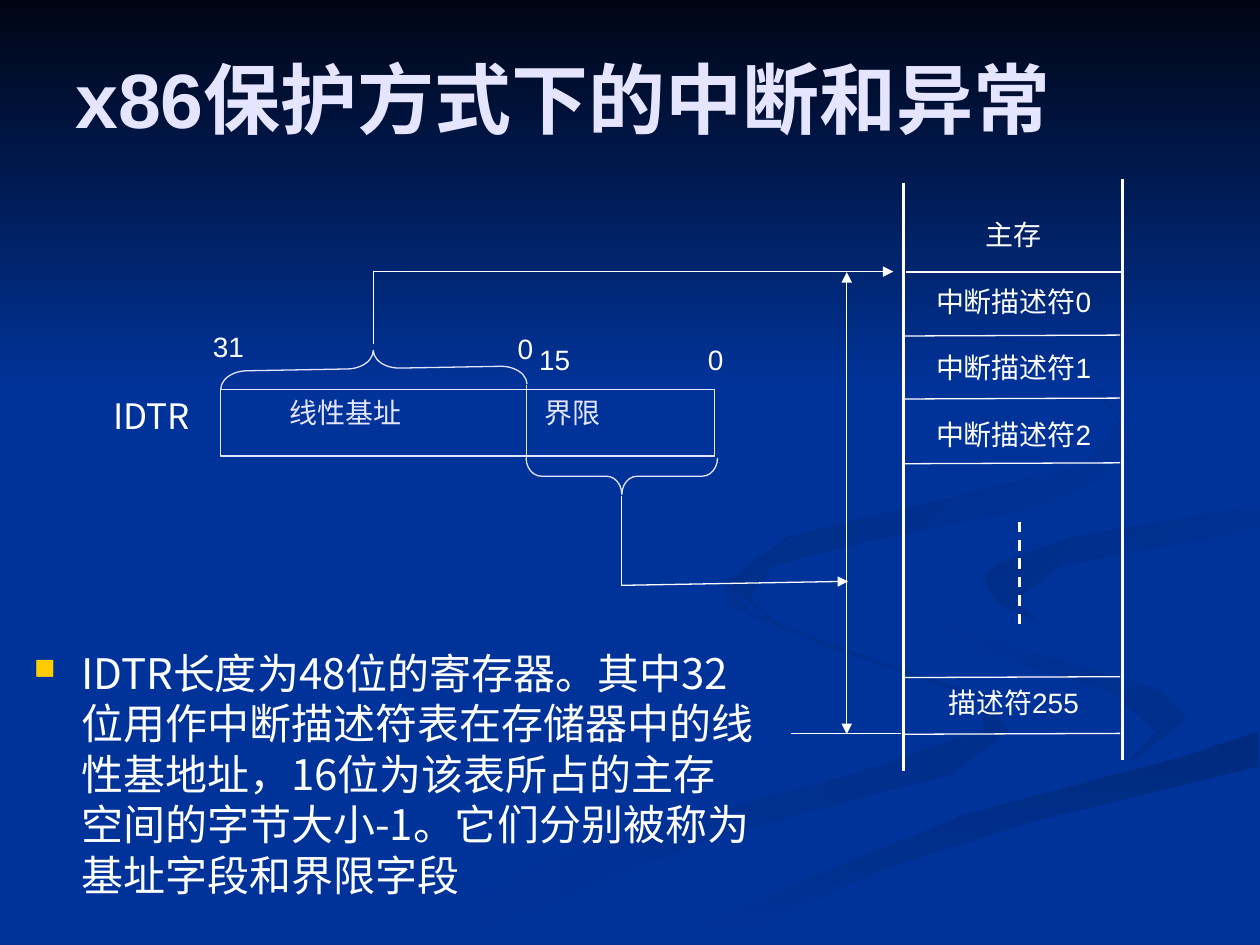
from pptx import Presentation
from pptx.dml.color import RGBColor
from pptx.enum.dml import MSO_LINE
from pptx.enum.shapes import MSO_CONNECTOR, MSO_SHAPE
from pptx.enum.text import MSO_ANCHOR, PP_ALIGN
from pptx.oxml.ns import qn
from pptx.util import Pt
from lxml.etree import SubElement

WHITE, PALE, BLUE = "FFFFFF", "E5E5FF", "003399"
SANS = "Noto Sans CJK SC"


def color(text):
    return RGBColor.from_string(text)


def label(text, x, y, w, h, size=16, font="Arial", hue=WHITE, wrap=True):
    box = slide.shapes.add_textbox(Pt(x), Pt(y), Pt(w), Pt(h))
    frame = box.text_frame
    frame.text = text
    frame.word_wrap = wrap
    for par in frame.paragraphs:
        for run in par.runs:
            run.font.size = Pt(size)
            run.font.name = font
            run.font.color.rgb = color(hue)
    return frame


prs = Presentation()
prs.slide_width, prs.slide_height = Pt(720), Pt(540)
slide = prs.slides.add_slide(prs.slide_layouts[6])
slide.background.fill.solid()
slide.background.fill.fore_color.rgb = color(BLUE)

# Backdrop waves: start hue, end hue, clockwise angle, outline
waves = [
    (BLUE, "002E8B", 0, [
        (562, 398), (491, 374), (428, 349), (414, 330), (415, 346), (471, 369),
        (562, 400), (562, 417), (492, 441), (330, 485), (216, 539), (260, 539),
        (406, 479), (544, 442), (576, 418)]),
    (BLUE, "002E8B", 45, [
        (679, 411), (662, 394), (584, 371), (536, 353), (521, 334), (528, 351),
        (562, 373), (634, 395), (661, 418), (644, 436), (671, 424)]),
    ("002A7D", BLUE, 90, [
        (362, 539), (411, 539), (500, 498), (591, 469), (719, 438), (719, 418),
        (674, 433), (550, 466), (454, 499)]),
    (BLUE, BLUE, 0, [
        (522, 334), (536, 353), (662, 394), (679, 410), (649, 434), (477, 481),
        (343, 539), (374, 538), (550, 466), (719, 418), (719, 387), (611, 362),
        (563, 331), (612, 307), (719, 289), (719, 279), (567, 304)]),
    ("002D86", BLUE, 45, [
        (562, 331), (570, 344), (595, 357), (580, 343), (607, 323), (719, 302),
        (719, 289), (612, 307), (570, 322)]),
    ("002B82", BLUE, 45, [
        (492, 310), (594, 289), (631, 272), (644, 248), (622, 210), (549, 168),
        (609, 201), (640, 241), (620, 266), (450, 307), (415, 333), (448, 360),
        (428, 342), (442, 323)]),
    ("000514", BLUE, 90, [(0, 0), (0, 222), (720, 222), (720, 0)]),
]
for start, end, angle, dots in waves:
    path = slide.shapes.build_freeform(*dots[0], scale=Pt(1))
    path.add_line_segments(dots[1:], close=True)
    wave = path.convert_to_shape()
    wave.shadow.inherit = False
    wave.line.fill.background()
    if start == end:
        wave.fill.solid()
        wave.fill.fore_color.rgb = color(start)
        continue
    wave.fill.gradient()
    wave.fill.gradient_angle = -angle % 360
    for stop, hue in zip(wave.fill.gradient_stops, (start, end)):
        stop.color.rgb = color(hue)

# Title
title = label("x86保护方式下的中断和异常", 36, 21.6, 648, 68.4, 44, hue=PALE)
title.vertical_anchor = MSO_ANCHOR.MIDDLE
title.paragraphs[0].runs[0].font.bold = True

# Bulleted note
note = label("IDTR长度为48位的寄存器。其中32位用作中断描述符表在存储器中的线性基地址，"
             "16位为该表所占的主存空间的字节大小-1。它们分别被称为基址字段和界限字段",
             12.24, 366.5, 426.2, 161.3, 24, SANS)
par = note.paragraphs[0]
par.space_before = Pt(6)
props = par._p.get_or_add_pPr()
props.set("marL", str(Pt(27)))
props.set("indent", str(Pt(-27)))
SubElement(SubElement(props, qn("a:buClr")), qn("a:srgbClr")).set("val", "FFCC00")
SubElement(props, qn("a:buSzPct")).set("val", "70000")
SubElement(props, qn("a:buChar")).set("char", "■")

# Register with its two fields
reg = slide.shapes.add_shape(MSO_SHAPE.RECTANGLE, Pt(126), Pt(222.5), Pt(282.2), Pt(38.2))
reg.shadow.inherit = False
reg.fill.background()
reg.line.color.rgb = color(PALE)
reg.line.width = Pt(0.75)
reg.text_frame.vertical_anchor = MSO_ANCHOR.TOP
par = reg.text_frame.paragraphs[0]
par.text = "\t线性基址\t界限"
par.alignment = PP_ALIGN.LEFT
font = par.runs[0].font
font.size, font.name, font.color.rgb = Pt(16), "Arial", color(PALE)
tabs = SubElement(par._p.get_or_add_pPr(), qn("a:tabLst"))
for pos in (32.5, 178):
    tab = SubElement(tabs, qn("a:tab"))
    tab.set("pos", str(Pt(pos)))
    tab.set("algn", "l")

# Braces: left, top, length, turn, curve
for x, y, size, turn, curve in [(344.9, 217.4, 109.4, 270, 0.42),
                                (203, 123.1, 175, 89, 0.72)]:
    brace = slide.shapes.add_shape(MSO_SHAPE.LEFT_BRACE, Pt(x), Pt(y), Pt(20.9), Pt(size))
    brace.rotation = turn
    brace.adjustments[0] = curve
    brace.shadow.inherit = False
    brace.fill.background()
    brace.line.color.rgb = color(PALE)
    brace.line.width = Pt(0.75)

# Memory cell labels
cells = label("主存\n中断描述符0\n中断描述符1\n中断描述符2\n描述符255", 516.2, 102.2, 126, 317.5)
cells.margin_top = Pt(22)
for par, gap in zip(cells.paragraphs, (0, 19, 19, 19, 134)):
    par.alignment = PP_ALIGN.CENTER
    par.space_before = Pt(gap)

# Lines: x1, y1, x2, y2, width, hue, arrow ends
lines = [
    (516.2, 104.4, 516.2, 440.6, 1.5, WHITE, ""),
    (641.5, 102.2, 641.5, 434.2, 1.5, WHITE, ""),
    (517.7, 155.5, 642.2, 155.5, 0.75, WHITE, ""),
    (213.5, 155.2, 510.5, 155.2, 0.75, WHITE, "tail"),
    (213.3, 154.8, 213.3, 196.6, 0.75, WHITE, ""),
    (452.2, 419.3, 514.8, 419.3, 0.75, WHITE, ""),
    (483.9, 155.5, 483.9, 419.5, 0.75, WHITE, "head tail"),
    (355, 334.5, 484.6, 332.2, 0.75, WHITE, "tail"),
    (355, 334.1, 355, 283.7, 0.75, WHITE, ""),
    (582.5, 298.1, 582.5, 360.7, 1.5, WHITE, ""),
    (301, 220.3, 301, 262.1, 0.75, PALE, ""),
]
lines += [(516.2, y, 640.1, y - 0.5, 0.75, WHITE, "") for y in (192, 228, 265, 387.2, 419.6)]
for x1, y1, x2, y2, width, hue, ends in lines:
    line = slide.shapes.add_connector(MSO_CONNECTOR.STRAIGHT, Pt(x1), Pt(y1), Pt(x2), Pt(y2))
    line.line.color.rgb = color(hue)
    line.line.width = Pt(width)
    if x1 == 582.5:
        line.line.dash_style = MSO_LINE.DASH
    for end in ends.split():
        SubElement(line.line._get_or_add_ln(), qn(f"a:{end}End")).set("type", "triangle")
    SubElement(line._element.spPr, qn("a:effectLst"))

# Bit numbers and register name
for text, x, y, w in [("31", 114.5, 185, 32.4), ("0", 288.7, 185.8, 23.8),
                      ("15", 301, 192.2, 32.4), ("0", 397.4, 192.2, 23.8)]:
    label(text, x, y, w, 26.6, wrap=False)
label("IDTR", 57.6, 221.8, 59.8, 31, 20, SANS, wrap=False)

prs.save("out.pptx")
